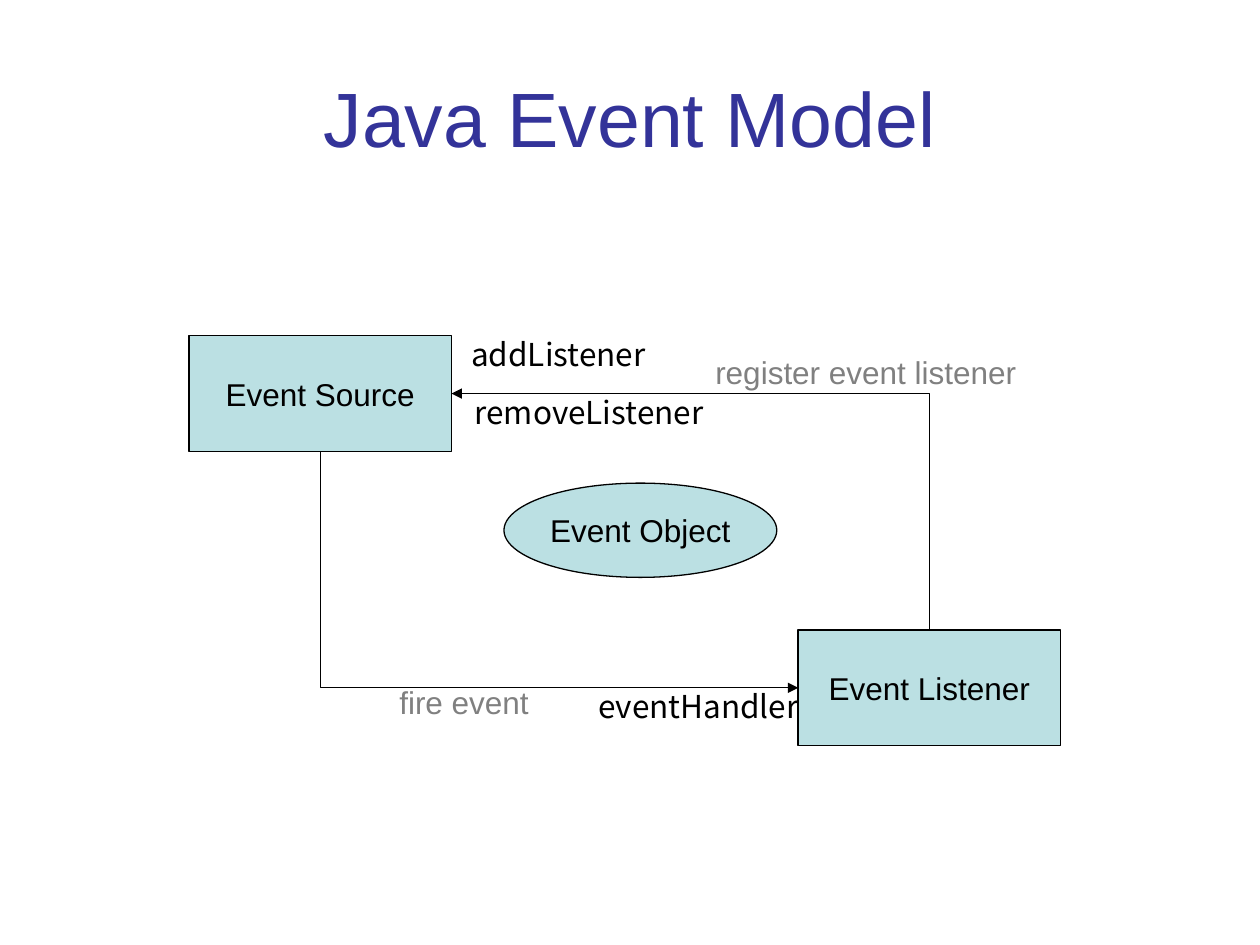
from lxml.etree import SubElement
from pptx import Presentation
from pptx.dml.color import RGBColor
from pptx.enum.shapes import MSO_CONNECTOR, MSO_SHAPE
from pptx.enum.text import MSO_ANCHOR, MSO_AUTO_SIZE, PP_ALIGN
from pptx.oxml.ns import qn
from pptx.util import Cm, Pt

BLACK = "000000"
GREY = "808080"
NAVY = "333399"
PALE_TEAL = "BBE0E3"
CODE_FONT = "Noto Sans CJK KR"
BOX_SIZE = (5.29, 2.33)
TOP, LEFT, BOTTOM = 0, 1, 2  # connection sites of a rectangle


def color(value):
    return RGBColor.from_string(value)


def write_text(shape, text, *, size=18, font="Arial", fill=BLACK,
               align=PP_ALIGN.CENTER, anchor=MSO_ANCHOR.MIDDLE, wrap=False):
    frame = shape.text_frame
    frame.word_wrap = wrap
    frame.vertical_anchor = anchor
    paragraph = frame.paragraphs[0]
    paragraph.alignment = align
    run = paragraph.add_run()
    run.text = text
    run.font.size = Pt(size)
    run.font.name = font
    run.font.color.rgb = color(fill)
    if font != "Arial":
        SubElement(run.font._element, qn("a:ea")).set("typeface", font)


def place_title(slide, text):
    title = slide.shapes.title
    title.left, title.top = Cm(1.27), Cm(0.76)
    title.width, title.height = Cm(22.86), Cm(3.18)
    write_text(title, text, size=44, fill=NAVY, wrap=True)


def add_node(slide, kind, text, left, top, width, height):
    shape = slide.shapes.add_shape(kind, Cm(left), Cm(top), Cm(width), Cm(height))
    shape.shadow.inherit = False
    shape.fill.solid()
    shape.fill.fore_color.rgb = color(PALE_TEAL)
    shape.line.color.rgb = color(BLACK)
    shape.line.width = Pt(0.75)
    write_text(shape, text)
    return shape


def add_label(slide, text, left, top, width, **text_format):
    label = slide.shapes.add_textbox(Cm(left), Cm(top), Cm(width), Cm(1.02))
    write_text(label, text, align=PP_ALIGN.LEFT, anchor=MSO_ANCHOR.TOP, **text_format)
    label.text_frame.auto_size = MSO_AUTO_SIZE.SHAPE_TO_FIT_TEXT


def add_corner_arrow(slide, start, start_site, end, end_site, flip):
    """Join two shapes by an arrow that runs vertically, then horizontally."""
    arrow = slide.shapes.add_connector(MSO_CONNECTOR.ELBOW, 0, 0, 0, 0)
    arrow.begin_connect(start, start_site)
    arrow.end_connect(end, end_site)

    # A quarter turn swaps width and height around the same centre.
    run, drop = arrow.width, arrow.height
    arrow.left += (run - drop) // 2
    arrow.top += (drop - run) // 2
    arrow.width, arrow.height = drop, run
    properties = arrow._element.spPr
    properties.find(qn("a:prstGeom")).set("prst", "bentConnector2")
    transform = properties.find(qn("a:xfrm"))
    transform.attrib.clear()
    transform.set("rot", "16200000")
    transform.set(flip, "1")

    arrow.line.color.rgb = color(BLACK)
    arrow.line.width = Pt(0.75)
    SubElement(properties.find(qn("a:ln")), qn("a:tailEnd")).set("type", "triangle")
    SubElement(properties, qn("a:effectLst"))


def main():
    presentation = Presentation()
    presentation.slide_width, presentation.slide_height = Cm(25.4), Cm(19.05)
    slide = presentation.slides.add_slide(presentation.slide_layouts.get_by_name("Title Only"))
    place_title(slide, "Java Event Model")

    source = add_node(slide, MSO_SHAPE.RECTANGLE, "Event Source", 3.81, 6.77, *BOX_SIZE)
    listener = add_node(slide, MSO_SHAPE.RECTANGLE, "Event Listener", 16.09, 12.7, *BOX_SIZE)
    add_node(slide, MSO_SHAPE.OVAL, "Event Object", 10.16, 9.74, 5.5, 1.9)

    add_corner_arrow(slide, source, BOTTOM, listener, LEFT, "flipH")
    # Site 3 is the right side of the source box.
    add_corner_arrow(slide, listener, TOP, source, 3, "flipV")

    add_label(slide, "register event listener", 14.17, 6.99, 6.58, fill=GREY)
    add_label(slide, "fire event", 7.8, 13.64, 3.12, fill=GREY)
    add_label(slide, "addListener", 9.25, 6.63, 4.14, font=CODE_FONT)
    add_label(slide, "removeListener", 9.32, 7.8, 5.31, font=CODE_FONT)
    add_label(slide, "eventHandler", 11.81, 13.72, 4.67, font=CODE_FONT)

    presentation.save("out.pptx")


if __name__ == "__main__":
    main()
